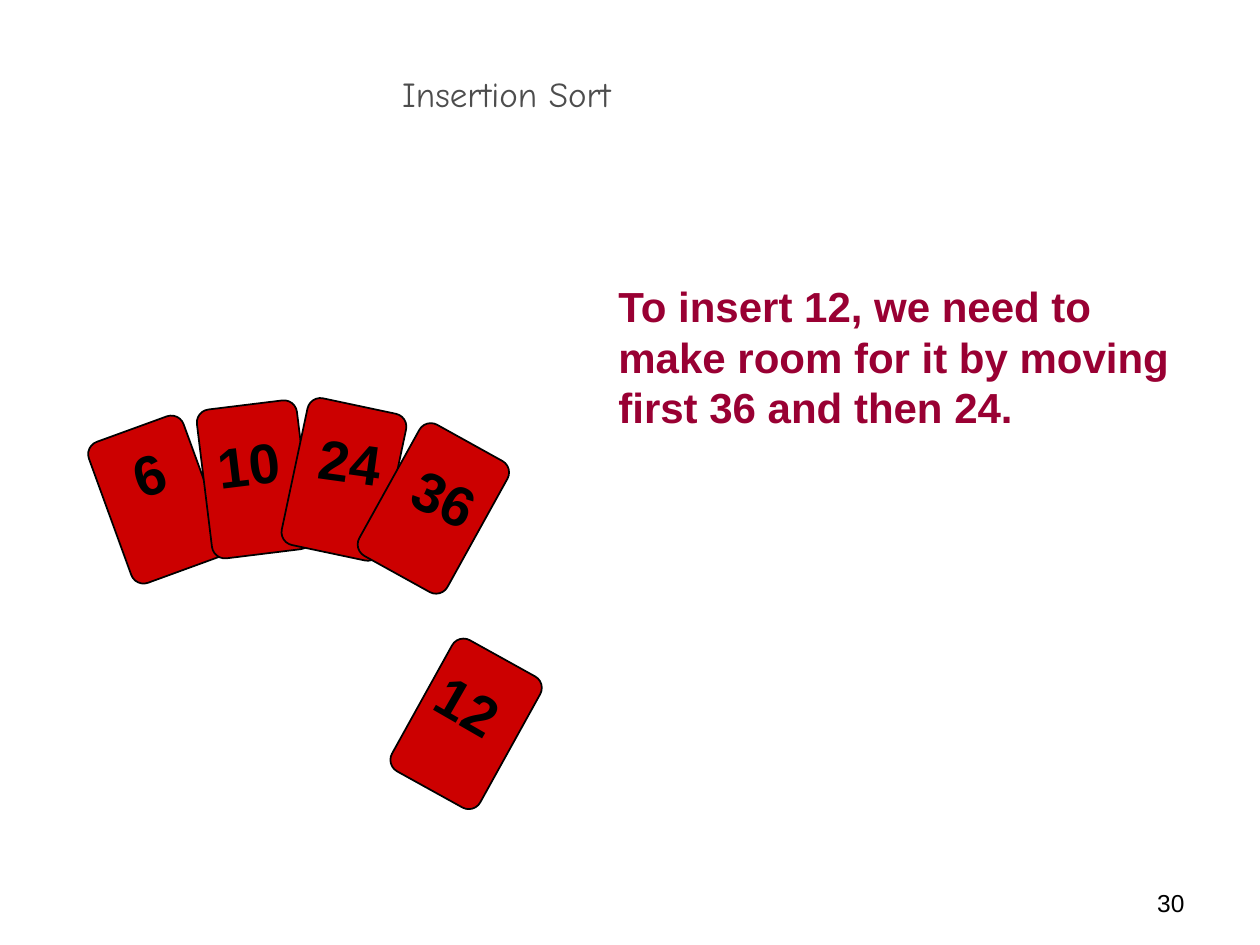
"""Build a slide that shows one step of insertion sort with cards."""
import pptx
import pptx.util
import pptx.dml.color
import pptx.enum.shapes
import pptx.enum.text

Inches = pptx.util.Inches
Pt = pptx.util.Pt
Align = pptx.enum.text.PP_ALIGN
Anchor = pptx.enum.text.MSO_ANCHOR
Fit = pptx.enum.text.MSO_AUTO_SIZE


def tint(code):
    return pptx.dml.color.RGBColor.from_string(code)


def write(frame, text, size=32, font="Arial", color="000000", bold=False,
          align=Align.LEFT, space=None):
    para = frame.paragraphs[0]
    para.alignment = align
    para.line_spacing = space
    run = para.add_run()
    run.text = text
    run.font.name = font
    run.font.size = Pt(size)
    run.font.bold = bold
    run.font.color.rgb = tint(color)


class Deck:
    face = "CC0000"
    edge = "000000"
    wide, tall = 0.8, 1.19
    curve = 0.13

    def __init__(self, slide):
        self.slide = slide

    def text(self, box, text, turn=0, wrap=True, grow=False,
             anchor=Anchor.TOP, **style):
        shape = self.slide.shapes.add_textbox(*map(Inches, box))
        shape.rotation = turn
        frame = shape.text_frame
        frame.word_wrap = wrap
        frame.auto_size = Fit.SHAPE_TO_FIT_TEXT if grow else Fit.NONE
        frame.vertical_anchor = anchor
        write(frame, text, **style)

    def card(self, left, top, turn):
        shape = self.slide.shapes.add_shape(
            pptx.enum.shapes.MSO_SHAPE.ROUNDED_RECTANGLE,
            Inches(left), Inches(top), Inches(self.wide), Inches(self.tall))
        shape.adjustments[0] = self.curve
        shape.rotation = turn
        shape.shadow.inherit = False
        shape.fill.solid()
        shape.fill.fore_color.rgb = tint(self.face)
        shape.line.color.rgb = tint(self.edge)
        shape.line.width = Pt(1)

    def label(self, left, top, turn, text):
        width = 0.45 if len(text) == 1 else 0.7
        self.text((left, top, width, 0.63), text, turn=turn, wrap=False,
                  grow=True, bold=True)


def main():
    show = pptx.Presentation()
    show.slide_width, show.slide_height = Inches(10), Inches(7.5)
    deck = Deck(show.slides.add_slide(show.slide_layouts[6]))

    deck.text((7.17, 7, 2.33, 0.35), "30", size=14, align=Align.RIGHT)
    deck.text((4.81, 2.18, 4.66, 1.3),
              "To insert 12, we need to make room for it by moving "
              "first 36 and then 24.",
              grow=True, size=24, color="990033", bold=True)
    deck.text((0.56, 0.67, 6.92, 0.28), "Insertion Sort",
              anchor=Anchor.BOTTOM, size=20, font="Comic Neue",
              color="4D4D4D", align=Align.CENTER, space=0.7)

    cards = [
        ((0.85, 3.37, 340), (0.96, 3.44, 341), "6"),
        ((1.62, 3.21, 353), (1.63, 3.36, 353), "10"),
        ((2.33, 3.21, 12), (2.44, 3.34, 8), "24"),
        ((3.3, 5.15, 29), (3.37, 5.28, 30), "12"),
        ((3.04, 3.44, 29), (3.19, 3.63, 25), "36"),
    ]
    for card, _, _ in cards:
        deck.card(*card)
    for _, label, text in cards:
        deck.label(*label, text)

    show.save("out.pptx")


if __name__ == "__main__":
    main()
